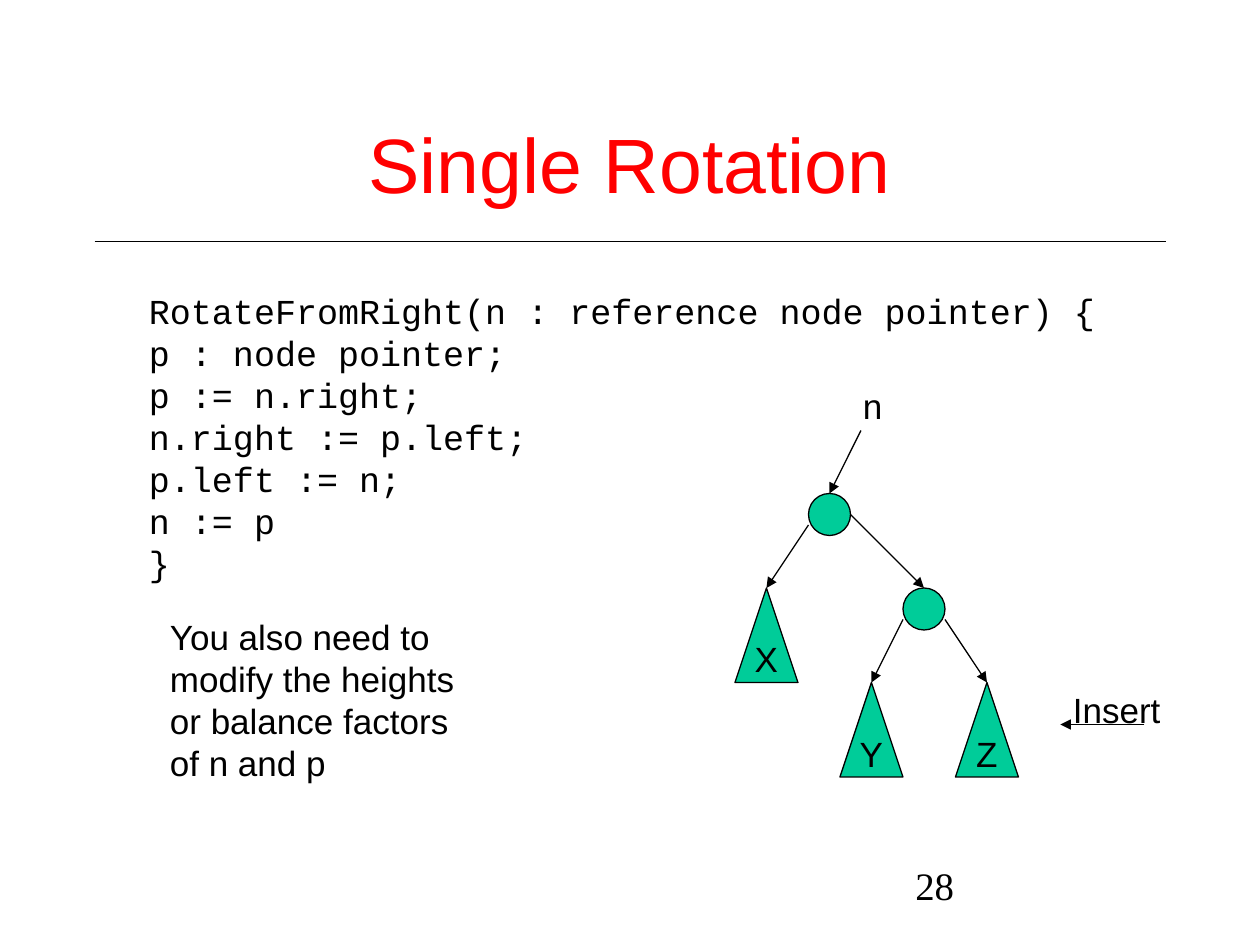
import dataclasses

import lxml.etree
import pptx
import pptx.dml.color
import pptx.enum.shapes
import pptx.enum.text
import pptx.oxml.ns
import pptx.util

SHAPE = pptx.enum.shapes.MSO_SHAPE
ALIGN = pptx.enum.text.PP_ALIGN
ANCHOR = pptx.enum.text.MSO_ANCHOR


@dataclasses.dataclass(frozen=True)
class Theme:
    ink: str = "000000"
    title: str = "FF0000"
    node: str = "00CC99"
    sans: str = "Arial"
    mono: str = "Courier New"
    serif: str = "Times New Roman"
    title_size: float = 44
    text_size: float = 20
    page_size: float = 22.2
    line_width: float = 0.75


THEME = Theme()
COLUMNS, ROWS = 120, 90  # square grid cells over the slide

CODE = [
    "RotateFromRight(n : reference node pointer) {",
    "p : node pointer;",
    "p := n.right;",
    "n.right := p.left;",
    "p.left := n;",
    "n := p",
    "}",
]


def grid(*cells):
    """Turn grid columns or rows into lengths."""
    return [pptx.util.Inches(10 * c / COLUMNS) for c in cells]


def color(value):
    return pptx.dml.color.RGBColor.from_string(value)


def write(sp, lines, font=THEME.sans, size=THEME.text_size, ink=THEME.ink,
          align=ALIGN.LEFT, anchor=ANCHOR.TOP, wrap=True, spacing=1.0):
    """Fill a shape with one paragraph for each line."""
    tf = sp.text_frame
    tf.word_wrap = wrap
    tf.auto_size = pptx.enum.text.MSO_AUTO_SIZE.NONE
    tf.vertical_anchor = anchor
    for i, line in enumerate(lines):
        p = tf.add_paragraph() if i else tf.paragraphs[0]
        p.alignment = align
        p.line_spacing = spacing
        r = p.add_run()
        r.text = line
        r.font.name = font
        r.font.size = pptx.util.Pt(size)
        r.font.color.rgb = color(ink)


def add_text(s, box, lines, **fmt):
    write(s.shapes.add_textbox(*grid(*box)), lines, **fmt)


def add_title(s, box, text):
    sp = s.shapes.title
    sp.left, sp.top, sp.width, sp.height = grid(*box)
    write(sp, [text], size=THEME.title_size, ink=THEME.title,
          align=ALIGN.CENTER, anchor=ANCHOR.MIDDLE)


def add_outlined(s, kind, box):
    sp = s.shapes.add_shape(kind, *grid(*box))
    sp.shadow.inherit = False
    sp.fill.solid()
    sp.fill.fore_color.rgb = color(THEME.node)
    sp.line.color.rgb = color(THEME.ink)
    sp.line.width = pptx.util.Pt(THEME.line_width)
    return sp


def add_node(s, left, top):
    return add_outlined(s, SHAPE.OVAL, (left, top, 4, 4))


def add_subtree(s, left, top, label):
    sp = add_outlined(s, SHAPE.ISOSCELES_TRIANGLE, (left, top, 6, 9))
    write(sp, [label], align=ALIGN.CENTER, anchor=ANCHOR.MIDDLE, wrap=False)
    return sp


def add_line(s, start, end, arrow=False):
    c = s.shapes.add_connector(pptx.enum.shapes.MSO_CONNECTOR.STRAIGHT,
                               *grid(*start, *end))
    c.line.color.rgb = color(THEME.ink)
    c.line.width = pptx.util.Pt(THEME.line_width)
    qn = pptx.oxml.ns.qn
    if arrow:
        ln = c.line._get_or_add_ln()
        lxml.etree.SubElement(ln, qn("a:tailEnd"), type="triangle")
    lxml.etree.SubElement(c._element.spPr, qn("a:effectLst"))
    return c


def add_tree(s):
    """Draw the tree and point each arrow at the top of its target."""
    root = add_node(s, 77, 47)
    child = add_node(s, 86, 56)
    x = add_subtree(s, 70, 56, "X")
    y = add_subtree(s, 80, 65, "Y")
    z = add_subtree(s, 91, 65, "Z")
    arrows = [
        ((82, 41), (79, 47), root),
        ((77, 50), (73, 56), x),
        ((81, 49), (88, 56), child),
        ((86, 59), (83, 65), y),
        ((90, 59), (94, 65), z),
    ]
    for start, end, target in arrows:
        add_line(s, start, end, arrow=True).end_connect(target, 0)


def main():
    prs = pptx.Presentation()
    prs.slide_width, prs.slide_height = grid(COLUMNS, ROWS)
    s = prs.slides.add_slide(prs.slide_layouts[5])

    # Title, rule and page number
    add_line(s, (9, 23), (111, 23))
    add_title(s, (9, 8, 102, 15), "Single Rotation")
    add_text(s, (86, 82, 25, 6), ["28"], font=THEME.serif,
             size=THEME.page_size, spacing=0.9)

    # Code and remark
    add_text(s, (13, 27, 92.5, 29.3), CODE, font=THEME.mono, wrap=False)
    add_text(s, (15, 58, 32, 17.3),
             ["You also need to modify the heights or balance factors"
              " of n and p"])

    # Tree with its labels
    add_tree(s)
    add_text(s, (81, 36, 4.2, 5.3), ["n"], wrap=False)
    add_line(s, (109, 69), (101, 69), arrow=True)
    add_text(s, (101, 65, 12, 5.3), ["Insert"])

    prs.save("out.pptx")


if __name__ == "__main__":
    main()
